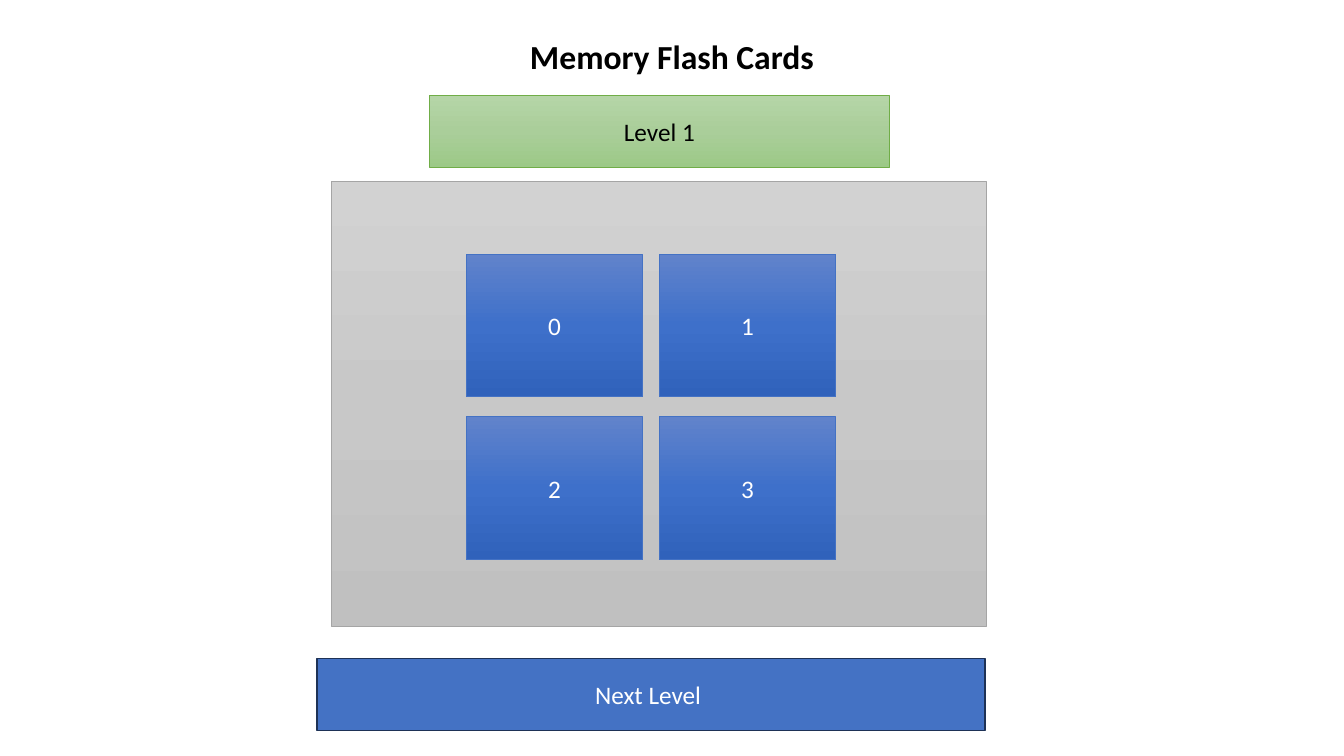
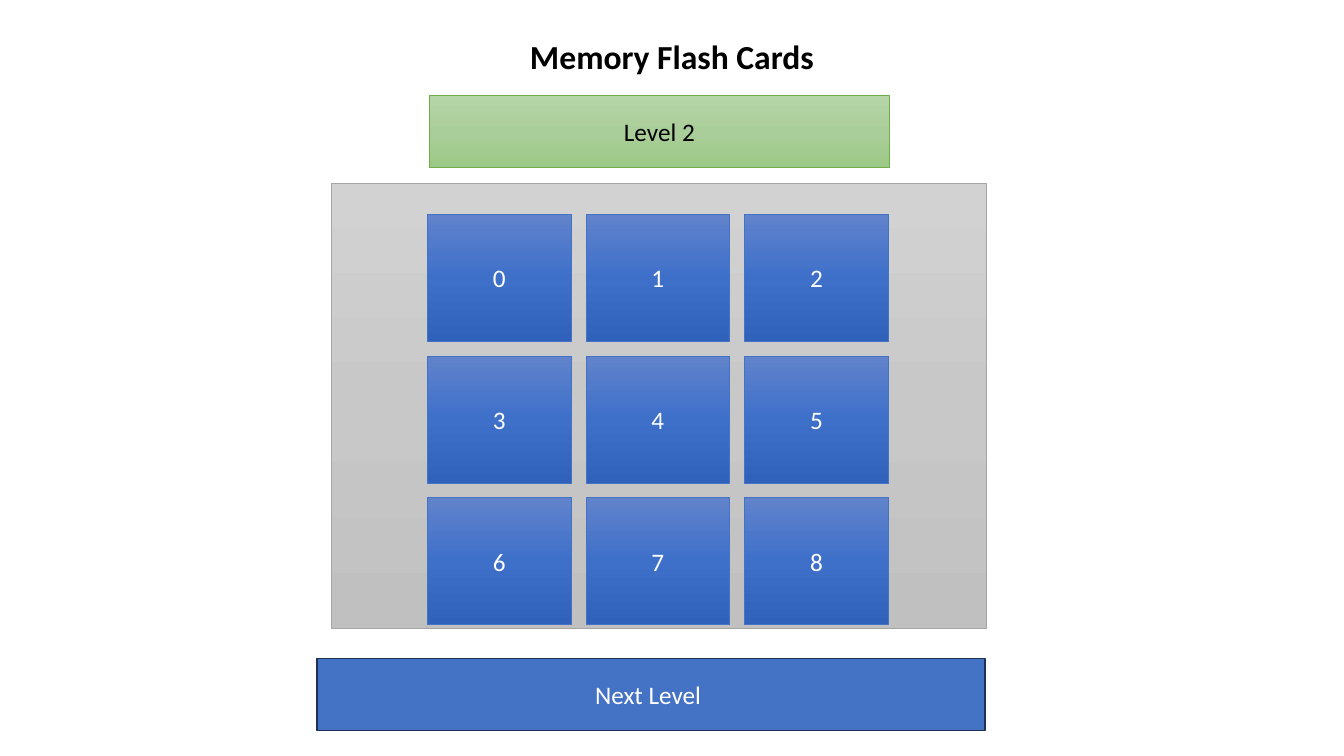
"""Builds the two level slides of a memory flash card game."""
from copy import deepcopy
from dataclasses import dataclass

from pptx import Presentation
from pptx import util as u
from pptx.dml.color import RGBColor
from pptx.enum import shapes, text
from pptx.oxml.ns import qn

PX = 9525


@dataclass(frozen=True)
class Theme:
    """Colours and type sizes of the game."""
    font: str = "Calibri"
    title_size: int = 24
    label_size: int = 18
    dark: str = "000000"
    light: str = "FFFFFF"
    level_fill: tuple = ("B5D5A7", "AACE9A", "9CC987")
    level_line: str = "70AD47"
    board_fill: tuple = ("D2D2D2", "C8C8C8", "C0C0C0")
    board_line: str = "A5A5A5"
    card_fill: tuple = ("6183CB", "3E70CA", "3062BB")
    card_line: str = "4472C4"
    button_fill: tuple = ("4472C4",)
    button_line: str = "1E3256"


@dataclass(frozen=True)
class Level:
    """Board position and card grid of one level."""
    name: str
    board_top: int
    count: int
    left: int
    top: int
    width: int
    height: int
    step_x: int
    step_y: int


LEVELS = (
    Level("Level 1", 173, 2, 444, 242, 168, 136, 184, 155),
    Level("Level 2", 175, 3, 407, 204, 137, 121, 151, 135),
)


def write(frame, words, *, font, size, color, bold=False, spacing=1.0,
          anchor=text.MSO_ANCHOR.MIDDLE):
    """Writes one centred paragraph into a text frame."""
    frame.word_wrap = True
    frame.vertical_anchor = anchor
    paragraph = frame.paragraphs[0]
    paragraph.alignment = text.PP_ALIGN.CENTER
    paragraph.line_spacing = spacing
    run = paragraph.add_run()
    run.text = words
    run.font.name = font
    run.font.size = u.Pt(size)
    run.font.bold = bold
    run.font.color.rgb = RGBColor.from_string(color)


def paint(shape, colors):
    """Fills a shape with one colour or an even downward gradient."""
    fill = shape.fill
    if len(colors) == 1:
        fill.solid()
        fill.fore_color.rgb = RGBColor.from_string(colors[0])
        return
    fill.gradient()
    fill.gradient_angle = 270
    stop_list = shape.element.spPr.find(".//" + qn("a:gsLst"))
    while len(stop_list) < len(colors):
        stop_list.append(deepcopy(stop_list[0]))
    for index, (stop, color) in enumerate(zip(fill.gradient_stops, colors)):
        stop.position = index / (len(colors) - 1)
        stop.color.rgb = RGBColor.from_string(color)


class Game:
    """Holds the theme and the slide being drawn."""

    def __init__(self, presentation, theme):
        """Starts without a slide."""
        self.presentation = presentation
        self.theme = theme
        self.slide = None

    def start_slide(self):
        """Adds a blank slide and makes it current."""
        layout = self.presentation.slide_layouts[6]
        self.slide = self.presentation.slides.add_slide(layout)

    def title(self, words):
        """Adds the bold heading."""
        box = self.slide.shapes.add_textbox(*(PX * n for n in (160, 34, 960, 127)))
        write(box.text_frame, words, font=self.theme.font, size=self.theme.title_size,
              color=self.theme.dark, bold=True, spacing=0.9, anchor=text.MSO_ANCHOR.TOP)

    def panel(self, place, colors, line, words="", color=None, weight=0.5):
        """Adds an outlined rectangle with an optional label."""
        shape = self.slide.shapes.add_shape(
            shapes.MSO_SHAPE.RECTANGLE, *(PX * n for n in place))
        shape.shadow.inherit = False
        paint(shape, colors)
        shape.line.color.rgb = RGBColor.from_string(line)
        shape.line.width = u.Pt(weight)
        if words:
            write(shape.text_frame, words, font=self.theme.font,
                  size=self.theme.label_size, color=color or self.theme.light)

    def banner(self, words):
        """Adds the green level name."""
        self.panel((409, 91, 438, 68), self.theme.level_fill, self.theme.level_line,
                   words, self.theme.dark)

    def board(self, top):
        """Adds the grey board behind the cards."""
        self.panel((316, top, 623, 424), self.theme.board_fill, self.theme.board_line)

    def cards(self, level):
        """Adds a square grid of numbered cards."""
        for number in range(level.count ** 2):
            row, column = divmod(number, level.count)
            place = (level.left + column * level.step_x, level.top + row * level.step_y,
                     level.width, level.height)
            self.panel(place, self.theme.card_fill, self.theme.card_line, str(number))

    def button(self, words):
        """Adds the button at the foot."""
        self.panel((302, 627, 636, 69), self.theme.button_fill, self.theme.button_line,
                   words, weight=1)


def main():
    """Builds and saves the presentation."""
    presentation = Presentation()
    presentation.slide_width = 1280 * PX
    presentation.slide_height = 720 * PX
    game = Game(presentation, Theme())
    for level in LEVELS:
        game.start_slide()
        game.title("Memory Flash Cards")
        game.banner(level.name)
        game.board(level.board_top)
        game.cards(level)
        game.button("Next Level ")
    presentation.save("out.pptx")


if __name__ == "__main__":
    main()
